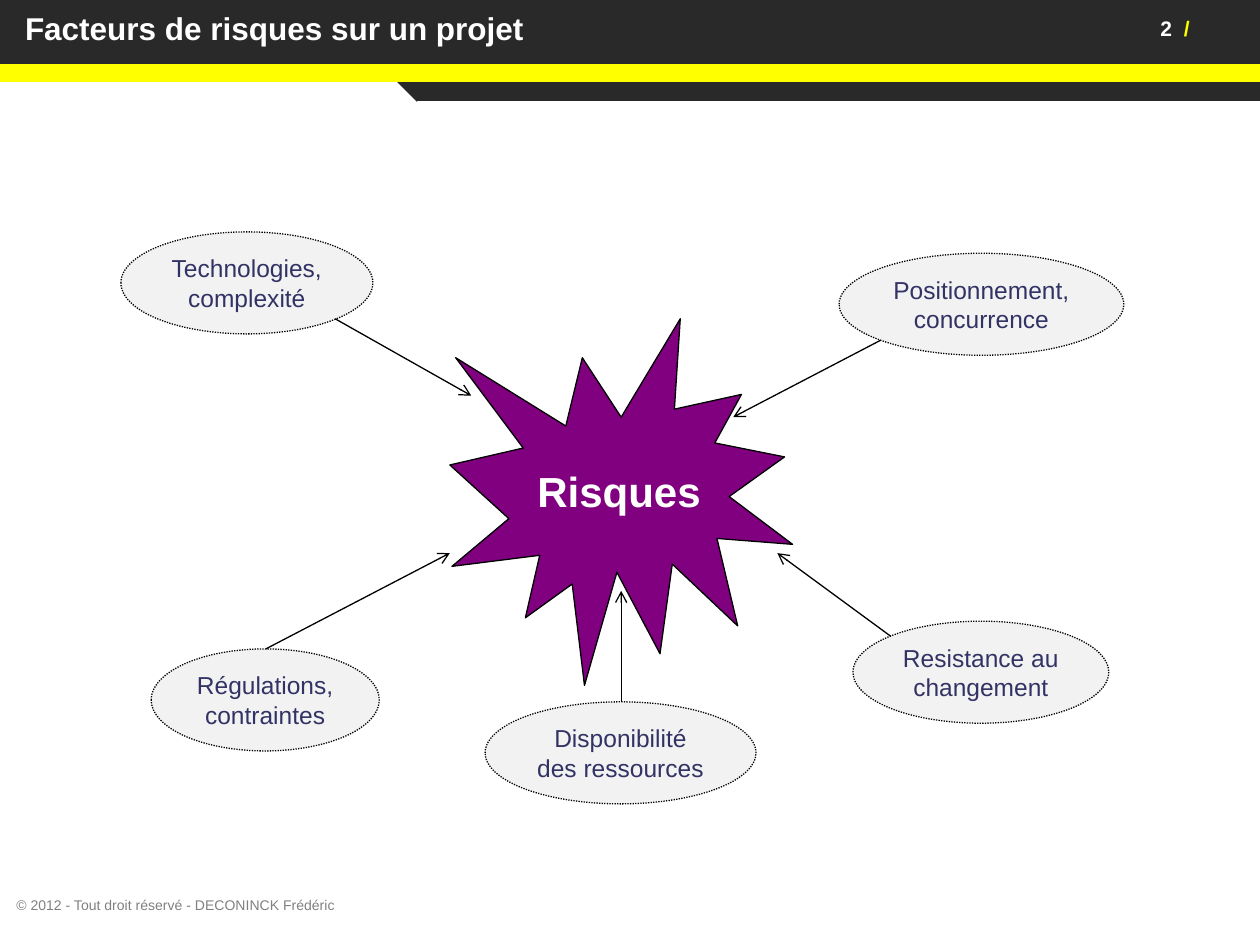
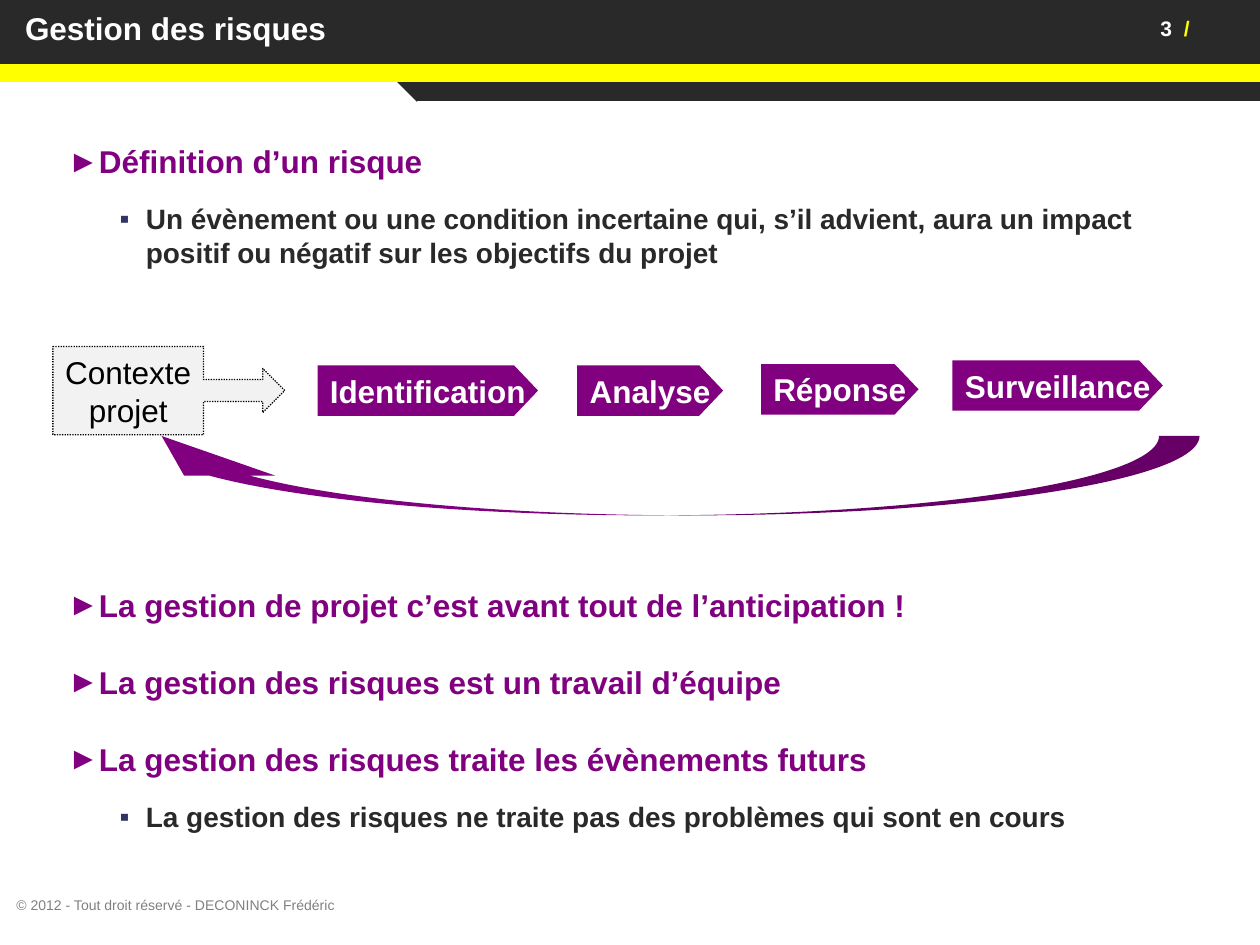
from lxml.etree import SubElement
from pptx import Presentation
from pptx.dml.color import RGBColor
from pptx.enum.dml import MSO_LINE
from pptx.enum.shapes import MSO_CONNECTOR, MSO_SHAPE
from pptx.enum.text import MSO_ANCHOR, PP_ALIGN
from pptx.oxml.ns import qn
from pptx.util import Inches, Pt

# Shared style
FONT = "Arial"
DARK = RGBColor(0x29, 0x29, 0x29)
YELLOW = RGBColor(0xFF, 0xFF, 0x00)
WHITE = RGBColor(0xFF, 0xFF, 0xFF)
BLACK = RGBColor(0x00, 0x00, 0x00)
PURPLE = RGBColor(0x80, 0x00, 0x80)
NAVY = RGBColor(0x32, 0x32, 0x65)
PALE = RGBColor(0xF2, 0xF2, 0xF2)
GREY = RGBColor(0x80, 0x80, 0x80)
FOOTER = "© 2012 - Tout droit réservé - DECONINCK Frédéric"

# Bullet levels: character, bullet colour, text colour, size, indent, hanging, before, after
HEADING = ("►", PURPLE, PURPLE, 18, 0.2, 0.2, 18, 4.5)
DETAIL = ("▪", NAVY, DARK, 16, 0.62, 0.21, 8, 0)


def add_run(paragraph, text, size, color, bold=False):
    run = paragraph.add_run()
    run.text = text
    run.font.name = FONT
    run.font.size = Pt(size)
    run.font.color.rgb = color
    run.font.bold = bold
    return run


def set_margins(text_frame, horizontal, vertical):
    text_frame.margin_left = text_frame.margin_right = Inches(horizontal)
    text_frame.margin_top = text_frame.margin_bottom = Inches(vertical)


def style_shape(shape, fill, outline=None, dotted=False):
    shape.shadow.inherit = False
    shape.fill.solid()
    shape.fill.fore_color.rgb = fill
    if outline is None:
        shape.line.fill.background()
        return
    shape.line.color.rgb = outline
    shape.line.width = Pt(0.75)
    if dotted:
        shape.line.dash_style = MSO_LINE.ROUND_DOT


def add_preset(slide, kind, box, fill, outline=None, dotted=False, adjustments=()):
    shape = slide.shapes.add_shape(kind, *map(Inches, box))
    style_shape(shape, fill, outline, dotted)
    for index, value in enumerate(adjustments):
        shape.adjustments[index] = value
    return shape


def add_label(shape, lines, size, color, bold=False):
    """Centred text inside a shape, one paragraph per line."""
    text_frame = shape.text_frame
    text_frame.word_wrap = False
    text_frame.vertical_anchor = MSO_ANCHOR.MIDDLE
    set_margins(text_frame, 0.1, 0.05)
    for index, line in enumerate(lines):
        paragraph = text_frame.add_paragraph() if index else text_frame.paragraphs[0]
        paragraph.alignment = PP_ALIGN.CENTER
        add_run(paragraph, line, size, color, bold)


def add_text_box(slide, box, horizontal=0.0, vertical=0.0):
    text_frame = slide.shapes.add_textbox(*map(Inches, box)).text_frame
    text_frame.word_wrap = True
    set_margins(text_frame, horizontal, vertical)
    return text_frame


def add_header_text(slide, box, horizontal=0.0):
    """Dark box with left-aligned text at its top; gives its paragraph."""
    text_frame = add_preset(slide, MSO_SHAPE.RECTANGLE, box, DARK).text_frame
    text_frame.word_wrap = True
    text_frame.vertical_anchor = MSO_ANCHOR.TOP
    set_margins(text_frame, horizontal, 0)
    paragraph = text_frame.paragraphs[0]
    paragraph.alignment = PP_ALIGN.LEFT
    return paragraph


def add_arrow(slide, start, end):
    connector = slide.shapes.add_connector(
        MSO_CONNECTOR.STRAIGHT, *map(Inches, (*start, *end)))
    connector.line.color.rgb = BLACK
    connector.line.width = Pt(0.75)
    SubElement(connector.line._get_or_add_ln(), qn("a:tailEnd"), type="arrow")
    SubElement(connector._element.spPr, qn("a:effectLst"))


def add_bullets(slide, box, items):
    text_frame = add_text_box(slide, box, 0.1, 0.05)
    for index, (level, text) in enumerate(items):
        character, bullet_color, color, size, indent, hanging, before, after = level
        paragraph = text_frame.add_paragraph() if index else text_frame.paragraphs[0]
        properties = paragraph._p.get_or_add_pPr()
        properties.set("marL", str(Inches(indent)))
        properties.set("indent", str(-Inches(hanging)))
        bullet = SubElement(properties, qn("a:buClr"))
        SubElement(bullet, qn("a:srgbClr"), val=str(bullet_color))
        SubElement(properties, qn("a:buFont"), typeface=FONT)
        SubElement(properties, qn("a:buChar"), char=character)
        if index:
            paragraph.space_before = Pt(before)
        paragraph.space_after = Pt(after)
        add_run(paragraph, text, size, color, bold=True)


def add_base_slide(presentation, title, number):
    """Blank slide with header bands, page number, title and footer."""
    slide = presentation.slides.add_slide(presentation.slide_layouts[6])
    triangle = add_preset(slide, MSO_SHAPE.RIGHT_TRIANGLE, (3.09, 0.59, 0.22, 0.22), DARK)
    triangle.rotation = 180
    for box, color in (((3.31, 0.65, 6.69, 0.15), DARK),
                       ((0, 0, 10, 0.53), DARK),
                       ((0, 0.51, 10, 0.14), YELLOW)):
        add_preset(slide, MSO_SHAPE.RECTANGLE, box, color)

    page = add_header_text(slide, (9.21, 0.12, 0.79, 0.2))
    page_number = add_run(page, f"{number} ", 12, WHITE, bold=True)
    page_number.font._element.set("spc", "167")  # widens the gap before the slash
    add_run(page, "/", 12, YELLOW, bold=True)

    heading = add_header_text(slide, (0.1, 0.07, 9.11, 0.3), horizontal=0.1)
    add_run(heading, title, 18, WHITE, bold=True)

    footer = add_text_box(slide, (0.13, 7.12, 7.46, 0.13))
    footer.vertical_anchor = MSO_ANCHOR.MIDDLE
    add_run(footer.paragraphs[0], FOOTER, 8, GREY)
    return slide


def add_step(slide, left, top, width, text):
    """Process step: a box with a pointed right end."""
    height, point = 0.4, 0.19
    right, bottom = left + width, top + height
    start, *others = [
        (Inches(x), Inches(y)) for x, y in (
            (left, top), (right - point, top), (right, top + height / 2),
            (right - point, bottom), (left, bottom))]
    builder = slide.shapes.build_freeform(*start, scale=1.0)
    builder.add_line_segments(others, close=True)
    shape = builder.convert_to_shape()
    style_shape(shape, PURPLE)
    add_label(shape, [text], 18, WHITE, bold=True)


def build_risk_factors(presentation):
    slide = add_base_slide(presentation, "Facteurs de risques sur un projet", 2)
    burst = add_preset(slide, MSO_SHAPE.EXPLOSION1, (3.57, 2.53, 2.72, 2.91), PURPLE, BLACK)
    add_label(burst, ["Risques"], 24, WHITE, bold=True)

    # Factor: left, top, width, lines, arrow start, arrow end
    factors = [
        (0.96, 1.84, 2, ["Technologies,", "complexité"], (2.66, 2.53), (3.74, 3.14)),
        (6.66, 2.01, 2.26, ["Positionnement,", "concurrence"], (6.99, 2.7), (5.82, 3.31)),
        (1.2, 5.15, 1.81, ["Régulations,", "contraintes"], (2.11, 5.15), (3.57, 4.39)),
        (3.85, 5.57, 2.15, ["Disponibilité", "des ressources"], (4.93, 5.57), (4.93, 4.69)),
        (6.77, 4.93, 2.03, ["Resistance au", "changement"], (7.07, 5.05), (6.17, 4.39)),
    ]
    for left, top, width, lines, start, end in factors:
        ellipse = add_preset(slide, MSO_SHAPE.OVAL, (left, top, width, 0.81),
                             PALE, BLACK, dotted=True)
        add_label(ellipse, lines, 14, NAVY)
        add_arrow(slide, start, end)


def build_risk_management(presentation):
    slide = add_base_slide(presentation, "Gestion des risques", 3)
    add_bullets(slide, (0.44, 1.08, 9.17, 1.2), [
        (HEADING, "Définition d’un risque"),
        (DETAIL, "Un évènement ou une condition incertaine qui, s’il advient, "
                 "aura un impact positif ou négatif sur les objectifs du projet"),
    ])
    add_bullets(slide, (0.44, 4.6, 9.17, 2.26), [
        (HEADING, "La gestion de projet c’est avant tout de l’anticipation !"),
        (HEADING, "La gestion des risques est un travail d’équipe"),
        (HEADING, "La gestion des risques traite les évènements futurs"),
        (DETAIL, "La gestion des risques ne traite pas des problèmes qui sont en cours"),
    ])

    # Process: context, four steps and the way back
    context = add_preset(slide, MSO_SHAPE.RIGHT_ARROW_CALLOUT, (0.42, 2.75, 1.84, 0.7),
                         PALE, BLACK, dotted=True, adjustments=(0.25, 0.25, 0.25, 0.65))
    add_label(context, ["Contexte", "projet"], 18, BLACK)
    for step in ((2.52, 2.9, 1.75, "Identification"), (4.58, 2.9, 1.16, "Analyse"),
                 (6.04, 2.89, 1.25, "Réponse"), (7.56, 2.86, 1.67, "Surveillance")):
        add_step(slide, *step)
    way_back = add_preset(slide, MSO_SHAPE.CURVED_DOWN_ARROW, (0.92, 3.46, 8.6, 0.63),
                          PURPLE, adjustments=(0.51, 1.15, 0.5))
    way_back.rotation = 180


def main():
    presentation = Presentation()
    presentation.slide_width = Inches(10)
    presentation.slide_height = Inches(7.5)
    build_risk_factors(presentation)
    build_risk_management(presentation)
    presentation.save("out.pptx")


if __name__ == "__main__":
    main()
